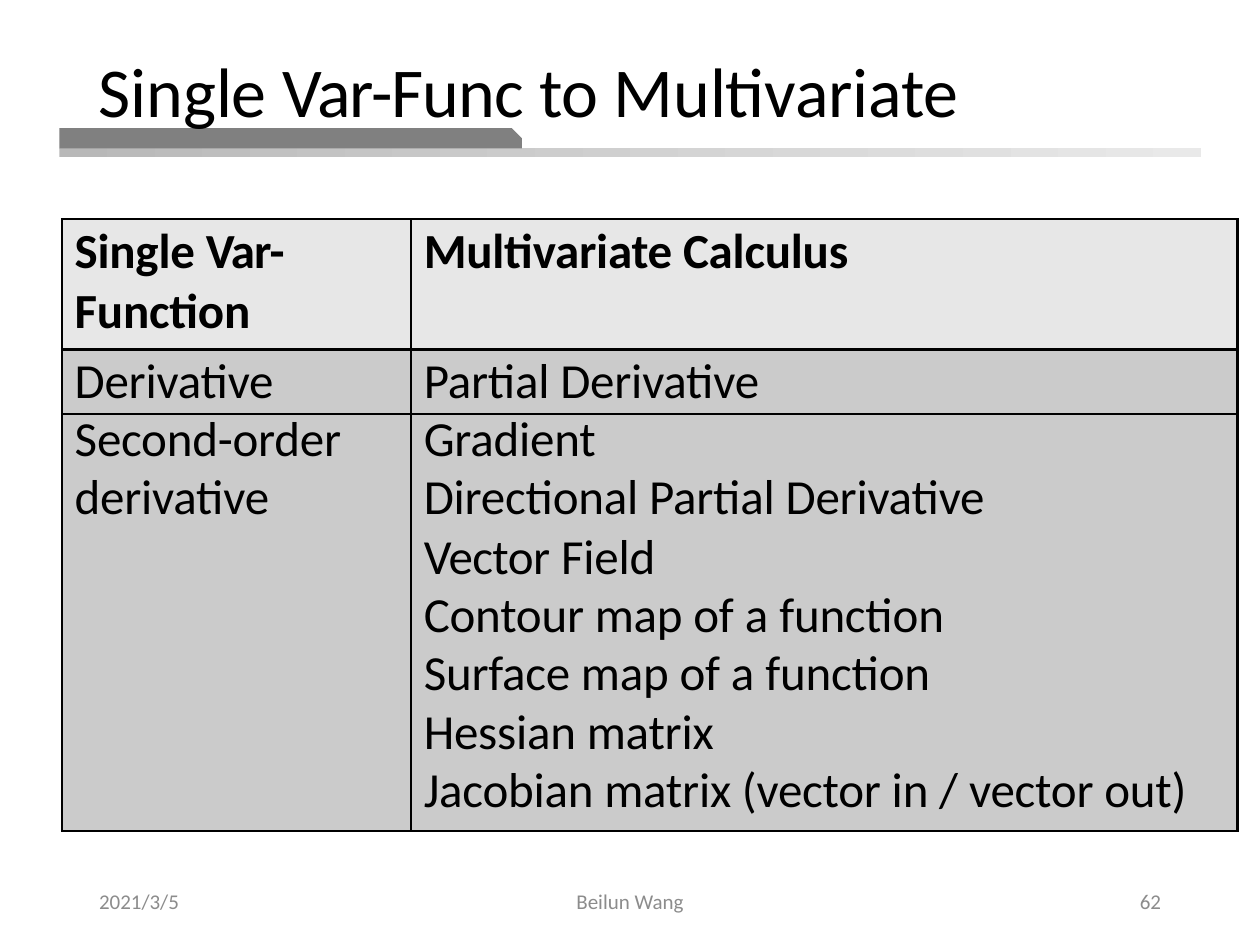
from lxml import etree
from pptx import Presentation
from pptx.dml.color import RGBColor
from pptx.enum.shapes import MSO_SHAPE
from pptx.enum.text import MSO_ANCHOR, PP_ALIGN
from pptx.oxml.ns import qn
from pptx.util import Pt

BLACK = RGBColor(0x00, 0x00, 0x00)
FOOTER_GRAY = RGBColor(0x8C, 0x8C, 0x8C)
ACCENT_GRAY = RGBColor(0x80, 0x80, 0x80)
HEADER_FILL = RGBColor(0xE7, 0xE7, 0xE7)
BODY_FILL = RGBColor(0xCB, 0xCB, 0xCB)
BAND_START = RGBColor(0xB8, 0xB8, 0xB8)
BAND_END = RGBColor(0xE9, 0xE9, 0xE9)
FONT = "Calibri"

# Runs are (text, character spacing in points)
TITLE = [("Single ", -0.1), ("Var-Func ", -0.5), ("to Multivariate", -0.1)]
# text, left, width, alignment
FOOTERS = [
    ("2021/3/5", 49.5, 162, PP_ALIGN.LEFT),
    ("Beilun Wang", 238.5, 243, PP_ALIGN.CENTER),
    ("62", 508.5, 162, PP_ALIGN.RIGHT),
]
COLUMN_WIDTHS = [199.5, 472.25]
# height, line spacing, left runs, right runs
ROWS = [
    (74.5, 1.01, [("Single ", -0.1), ("Var-  ", -0.6), ("Function", -0.1)],
     [("Multivariate Calculus", -0.1)]),
    (36.75, 1.0, [("Derivative", -0.1)], [("Partial Derivative", -0.1)]),
    (33.5, Pt(32.2), [("Second-order", -0.1)], [("Gradient", -0.1)]),
    (33.5, Pt(31.6), [("derivative", -0.1)], [("Directional Partial Derivative", -0.1)]),
    (33.5, Pt(32.2), [], [("Vector", -0.3), (" Field", -0.1)]),
    (33.5, Pt(32.2), [], [("Contour map of ", -0.1), ("a ", 0), ("function", -0.1)]),
    (33.5, Pt(31.6), [], [("Surface map of ", -0.1), ("a ", 0), ("function", -0.1)]),
    (33.5, Pt(32.2), [], [("Hessian matrix", -0.1)]),
    (37.5, Pt(31.6), [],
     [("Jacobian matrix (vector in ", -0.1), ("/ ", 0), ("vector out)", -0.1)]),
]
RULED_ROWS = 2  # these rows are boxed one by one; the rest share one box


def add_runs(paragraph, runs, size, color=BLACK, bold=False):
    for text, spacing in runs:
        run = paragraph.add_run()
        run.text = text
        run.font.name = FONT
        run.font.size = Pt(size)
        run.font.bold = bold
        run.font.color.rgb = color
        if spacing:
            run.font._element.set("spc", str(round(spacing * 100)))


def add_text(slide, left, top, width, height, runs, size, color=BLACK,
             align=PP_ALIGN.LEFT, anchor=MSO_ANCHOR.TOP):
    box = slide.shapes.add_textbox(Pt(left), Pt(top), Pt(width), Pt(height))
    frame = box.text_frame
    frame.word_wrap = True
    frame.vertical_anchor = anchor
    paragraph = frame.paragraphs[0]
    paragraph.alignment = align
    add_runs(paragraph, runs, size, color)
    return paragraph


def add_bar(slide, kind, left, top, width, height):
    bar = slide.shapes.add_shape(kind, Pt(left), Pt(top), Pt(width), Pt(height))
    bar.shadow.inherit = False
    bar.line.fill.background()
    return bar


def set_borders(cell, sides):
    """Draw the named sides in black and leave the others without a line."""
    properties = cell._tc.get_or_add_tcPr()
    for index, side in enumerate("LRTB"):
        line = etree.Element(qn(f"a:ln{side}"), w=str(Pt(1.5)))
        if side in sides:
            fill = etree.SubElement(line, qn("a:solidFill"))
            etree.SubElement(fill, qn("a:srgbClr"), val=str(BLACK))
        else:
            etree.SubElement(line, qn("a:noFill"))
        properties.insert(index, line)


def add_comparison_table(slide):
    frame = slide.shapes.add_table(
        len(ROWS), len(COLUMN_WIDTHS), Pt(35.5), Pt(125.25),
        Pt(sum(COLUMN_WIDTHS)), Pt(sum(row[0] for row in ROWS)))
    table = frame.table
    for column, width in zip(table.columns, COLUMN_WIDTHS):
        column.width = Pt(width)
    for row_index, (height, line_spacing, *row_runs) in enumerate(ROWS):
        table.rows[row_index].height = Pt(height)
        ruled = row_index < RULED_ROWS
        sides = "LR"
        if row_index <= RULED_ROWS:
            sides += "T"
        if ruled or row_index == len(ROWS) - 1:
            sides += "B"
        for column_index, runs in enumerate(row_runs):
            cell = table.cell(row_index, column_index)
            cell.margin_left = Pt(7.2)
            cell.margin_right = cell.margin_bottom = Pt(0)
            cell.margin_top = Pt(1.2 if ruled else 0)
            cell.fill.solid()
            cell.fill.fore_color.rgb = BODY_FILL if row_index else HEADER_FILL
            set_borders(cell, sides)
            paragraph = cell.text_frame.paragraphs[0]
            paragraph.line_spacing = line_spacing
            paragraph.space_before = Pt(1.5 if ruled else 0)
            add_runs(paragraph, runs, 28, bold=row_index == 0)


def main():
    presentation = Presentation()
    presentation.slide_width, presentation.slide_height = Pt(720), Pt(540)
    slide = presentation.slides.add_slide(presentation.slide_layouts[6])

    band = add_bar(slide, MSO_SHAPE.RECTANGLE, 34, 84.5, 652.25, 5.5)
    band.fill.gradient()
    band.fill.gradient_angle = 0
    for stop, color in zip(band.fill.gradient_stops, (BAND_START, BAND_END)):
        stop.color.rgb = color
    for stop, position in zip(band.fill.gradient_stops, (0, 1)):
        stop.position = position

    tab = add_bar(slide, MSO_SHAPE.SNIP_1_RECTANGLE, 34, 73.25, 264.25, 11.5)
    tab.adjustments[0] = 0.5
    tab.fill.solid()
    tab.fill.fore_color.rgb = ACCENT_GRAY

    title = add_text(slide, 49.5, 29, 603.5, 46, TITLE, 40)
    title.line_spacing = 0.9
    for text, left, width, align in FOOTERS:
        add_text(slide, left, 500.5, width, 28.75, [(text, 0)], 12, FOOTER_GRAY,
                 align, MSO_ANCHOR.MIDDLE)
    add_comparison_table(slide)
    presentation.save("out.pptx")


if __name__ == "__main__":
    main()
